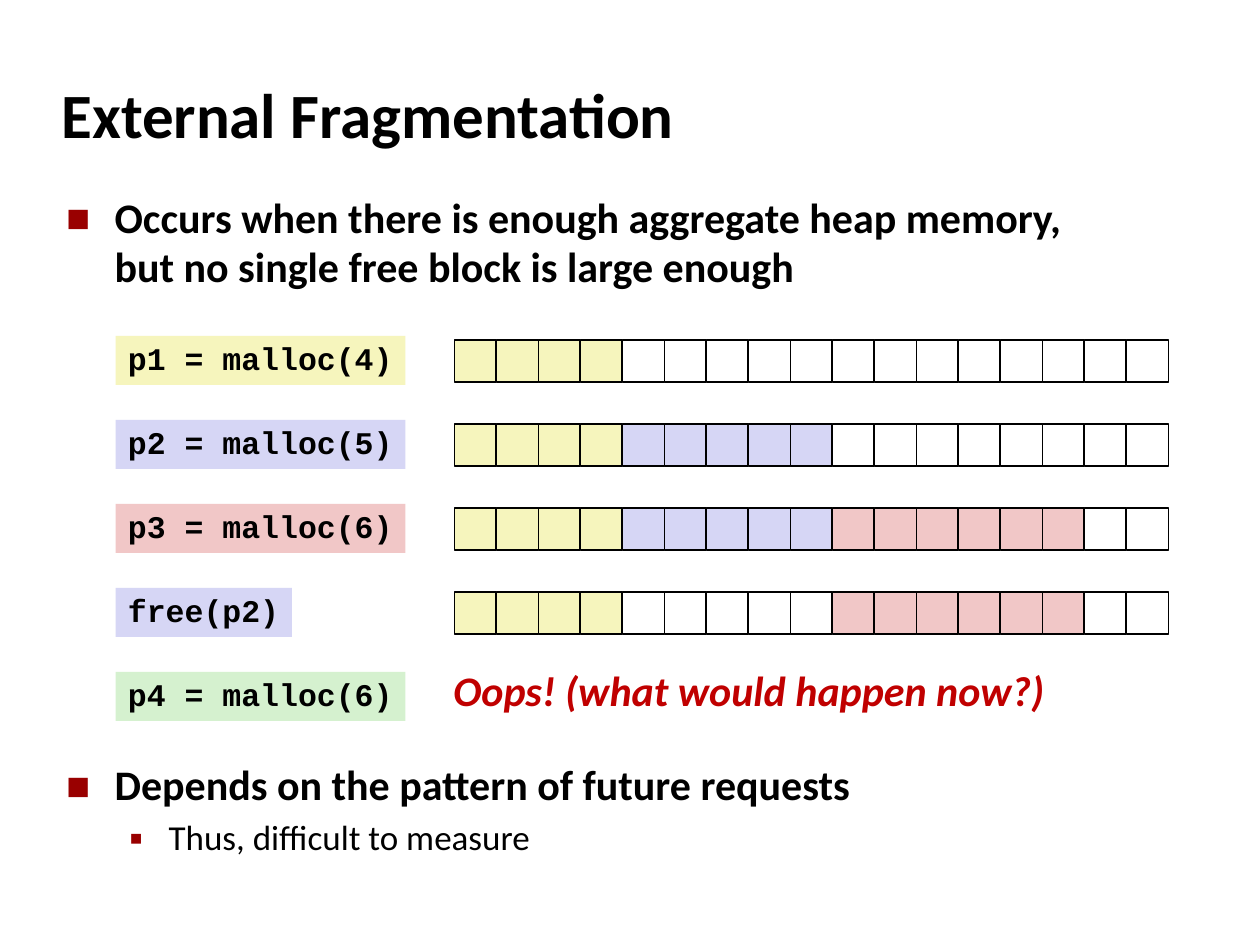
import pptx
import pptx.util
import pptx.dml.color
import pptx.enum.shapes
import pptx.enum.text
import pptx.oxml.ns
import lxml.etree

Cm, Pt = pptx.util.Cm, pptx.util.Pt
ANCHOR, AUTO = pptx.enum.text.MSO_ANCHOR, pptx.enum.text.MSO_AUTO_SIZE

COLORS = {
    "text": "000000", "bullet": "990000", "oops": "C00000", "free": "FFFFFF",
    "p1": "F6F5BD", "p2": "D6D6F5", "p3": "F1C7C7", "p4": "D5F1CF",
}
TITLE = "External Fragmentation"
BULLETS = [
    dict(text="Occurs when there is enough aggregate heap memory, "
              "but no single free block is large enough",
         level=0, before=0),
    dict(text="Depends on the pattern of future requests", level=0, before=268),
    dict(text="Thus, difficult to measure", level=1, before=4),
]
LEVELS = [
    dict(size=24, bold=True, margin=0.97, hang=0.97, char="■", percent=60),
    dict(size=20, bold=False, margin=2.06, hang=0.79, char="▪", percent=110),
]
STEPS = [
    ("p1 = malloc(4)", "p1", [("p1", 4), ("free", 13)]),
    ("p2 = malloc(5)", "p2", [("p1", 4), ("p2", 5), ("free", 8)]),
    ("p3 = malloc(6)", "p3", [("p1", 4), ("p2", 5), ("p3", 6), ("free", 2)]),
    ("free(p2)", "p2", [("p1", 4), ("free", 5), ("p3", 6), ("free", 2)]),
    ("p4 = malloc(6)", "p4", []),
]
OOPS = "Oops! (what would happen now?)"

CELL = Cm(2.54 / 3)
ROW_STEP = 2 * CELL
LABEL_X, LABEL_Y, LABEL_H = Cm(2.33), Cm(6.77), Cm(0.99)
HEAP_X, HEAP_Y = Cm(9.16), Cm(6.86)
CHAR_W, LABEL_PAD = Pt(10.8), Cm(0.51)


def rgb(name):
    return pptx.dml.color.RGBColor.from_string(COLORS[name])


def style(font, size, color="text", name="Calibri", bold=True, italic=False):
    font.size, font.name, font.bold, font.italic = Pt(size), name, bold, italic
    font.color.rgb = rgb(color)


def add_text(s, box, text, size, **kw):
    tf = s.shapes.add_textbox(*map(Cm, box)).text_frame
    tf.text = text
    style(tf.paragraphs[0].runs[0].font, size, **kw)
    return tf


def add_rect(shapes, x, y, w, h, color):
    sp = shapes.add_shape(pptx.enum.shapes.MSO_SHAPE.RECTANGLE, x, y, w, h)
    sp.shadow.inherit = False
    sp.fill.solid()
    sp.fill.fore_color.rgb = rgb(color)
    return sp


def add_bullet(p, level):
    pPr = p._p.get_or_add_pPr()
    pPr.set("marL", str(Cm(level["margin"])))
    pPr.set("indent", str(-Cm(level["hang"])))
    qn = pptx.oxml.ns.qn
    clr = lxml.etree.SubElement(pPr, qn("a:buClr"))
    lxml.etree.SubElement(clr, qn("a:srgbClr"), val=COLORS["bullet"])
    lxml.etree.SubElement(pPr, qn("a:buSzPct"), val=str(level["percent"] * 1000))
    lxml.etree.SubElement(pPr, qn("a:buFont"), typeface="Calibri")
    lxml.etree.SubElement(pPr, qn("a:buChar"), char=level["char"])


def add_body(s):
    tf = s.shapes.add_textbox(Cm(1.09), Cm(3.78), Cm(21.95), Cm(13.82)).text_frame
    tf.word_wrap = True
    for i, item in enumerate(BULLETS):
        p = tf.add_paragraph() if i else tf.paragraphs[0]
        level = LEVELS[item["level"]]
        p.text, p.level = item["text"], item["level"]
        add_bullet(p, level)
        p.line_spacing = 0.98
        p.space_before = Pt(item["before"])
        style(p.runs[0].font, level["size"], bold=level["bold"])


def add_label(s, text, color, y):
    w = int(len(text) * CHAR_W + LABEL_PAD)
    tf = add_rect(s.shapes, LABEL_X, y, w, LABEL_H, color).text_frame
    s.shapes[-1].line.fill.background()
    tf.text = text
    tf.word_wrap = False
    tf.auto_size = AUTO.SHAPE_TO_FIT_TEXT
    tf.vertical_anchor = ANCHOR.TOP
    p = tf.paragraphs[0]
    p.alignment = pptx.enum.text.PP_ALIGN.LEFT
    p.line_spacing = 0.94
    style(p.runs[0].font, 18, name="Courier New")


def add_heap(s, blocks, y):
    group = s.shapes.add_group_shape()
    cells = [name for name, size in blocks for _ in range(size)]
    for i, name in enumerate(cells):
        sp = add_rect(group.shapes, HEAP_X + i * CELL, y, CELL, CELL, name)
        sp.line.color.rgb = rgb("text")
        sp.line.width = Pt(1)


def main():
    prs = pptx.Presentation()
    prs.slide_width, prs.slide_height = Cm(25.4), Cm(19.05)
    s = prs.slides.add_slide(prs.slide_layouts[6])

    tf = add_text(s, (0.99, 1.22, 21.08, 2.11), TITLE, 36)
    tf.word_wrap = True
    tf.vertical_anchor = ANCHOR.MIDDLE
    add_body(s)

    for i, (text, color, blocks) in enumerate(STEPS):
        add_label(s, text, color, LABEL_Y + i * ROW_STEP)
        if blocks:
            add_heap(s, blocks, HEAP_Y + i * ROW_STEP)

    tf = add_text(s, (8.89, 13.28, 12.52, 1.27), OOPS, 24, color="oops", italic=True)
    tf.word_wrap = False
    tf.auto_size = AUTO.SHAPE_TO_FIT_TEXT

    prs.save("out.pptx")


if __name__ == "__main__":
    main()
